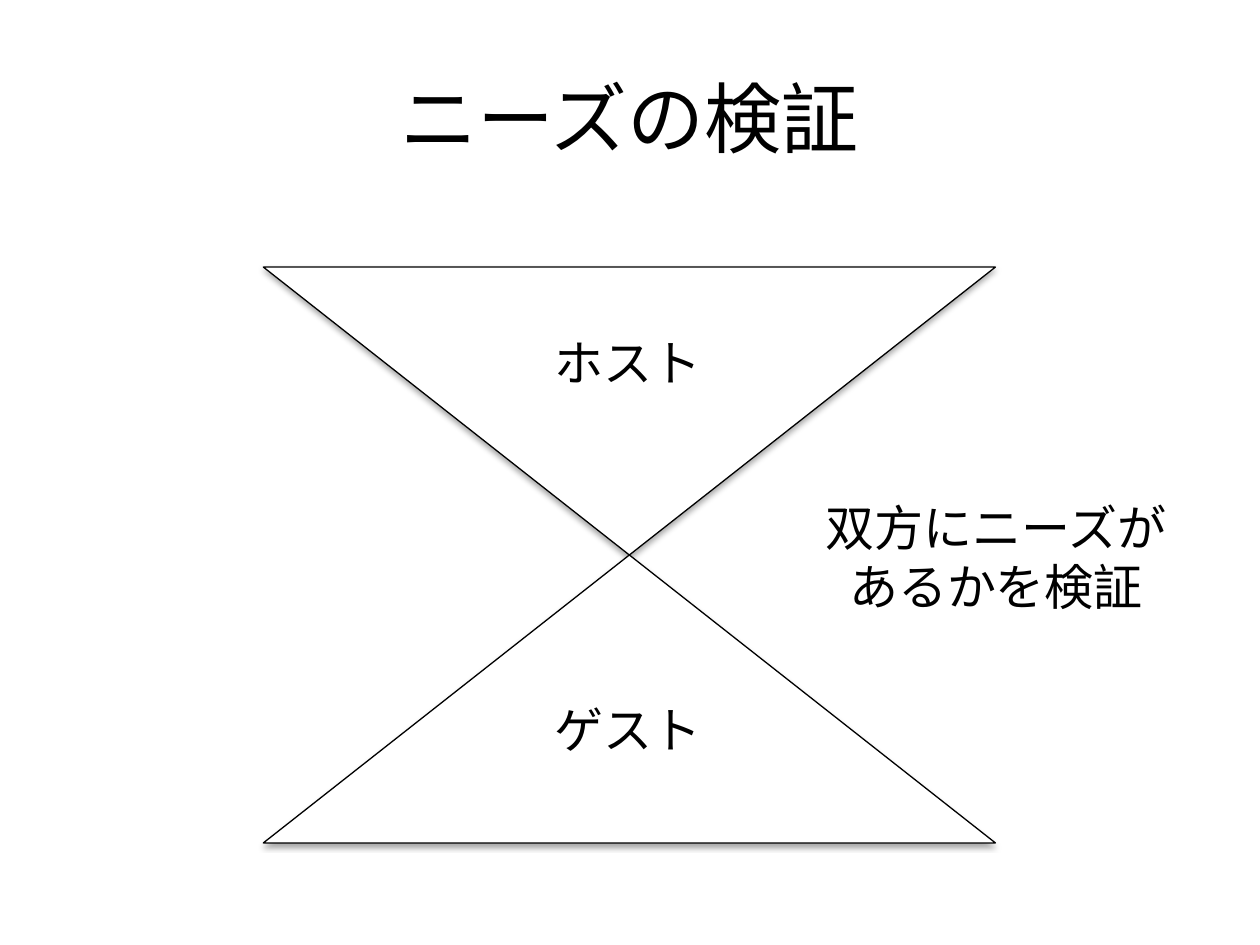
from lxml import etree
from pptx import Presentation
from pptx.dml.color import RGBColor
from pptx.enum.shapes import MSO_SHAPE
from pptx.enum.text import MSO_ANCHOR, PP_ALIGN
from pptx.oxml import parse_xml
from pptx.util import Inches, Pt

BLACK = RGBColor(0x00, 0x00, 0x00)
WHITE = RGBColor(0xFF, 0xFF, 0xFF)
FONT = "Calibri"

# Content
TITLE = "ニーズの検証"
HOURGLASS = (2.09, 2.12, 5.81, 4.57)
LABEL_LEFT, LABEL_WIDTH, LABEL_HEIGHT = 4.02, 1.93, 0.9
LABELS = [
    (["ホスト"], (LABEL_LEFT, 2.59, LABEL_WIDTH, LABEL_HEIGHT)),
    (["ゲスト"], (LABEL_LEFT, 5.5, LABEL_WIDTH, LABEL_HEIGHT)),
    (["双方にニーズが", "あるかを検証"], (6.27, 3.9, 3.27, 1.19)),
]
SHADOW = (
    '<a:effectLst xmlns:a="http://schemas.openxmlformats.org/drawingml/2006/main">'
    f'<a:outerShdw blurRad="{Pt(3.1)}" dist="{Pt(1.8)}" dir="5400000" rotWithShape="0">'
    '<a:srgbClr val="000000"><a:alpha val="35000"/></a:srgbClr>'
    "</a:outerShdw></a:effectLst>"
)


def write(frame, lines, size, anchor):
    frame.word_wrap = True
    frame.vertical_anchor = anchor
    for index, line in enumerate(lines):
        para = frame.add_paragraph() if index else frame.paragraphs[0]
        para.alignment = PP_ALIGN.CENTER
        span = para.add_run()
        span.text = line
        span.font.name = FONT
        span.font.size = Pt(size)
        span.font.color.rgb = BLACK


def add_white_shape(page, kind, place):
    shape = page.shapes.add_shape(kind, *map(Inches, place))
    shape.fill.solid()
    shape.fill.fore_color.rgb = WHITE
    return shape


def main():
    deck = Presentation()
    deck.slide_width, deck.slide_height = Inches(10), Inches(7.5)
    page = deck.slides.add_slide(deck.slide_layouts[5])

    # Title
    title = page.shapes.title
    title.left, title.top = Inches(0.5), Inches(0.3)
    title.width, title.height = Inches(9), Inches(1.25)
    write(title.text_frame, [TITLE], 44, MSO_ANCHOR.MIDDLE)

    # Hourglass joining the two sides
    hourglass = add_white_shape(page, MSO_SHAPE.FLOWCHART_COLLATE, HOURGLASS)
    hourglass.line.color.rgb = BLACK
    hourglass.line.width = Pt(0.75)
    hourglass._element.spPr.append(parse_xml(SHADOW))

    # Labels
    for lines, place in LABELS:
        box = add_white_shape(page, MSO_SHAPE.RECTANGLE, place)
        box.line.fill.background()
        box.shadow.inherit = False
        write(box.text_frame, lines, 28, MSO_ANCHOR.TOP)

    deck.save("out.pptx")


if __name__ == "__main__":
    main()
